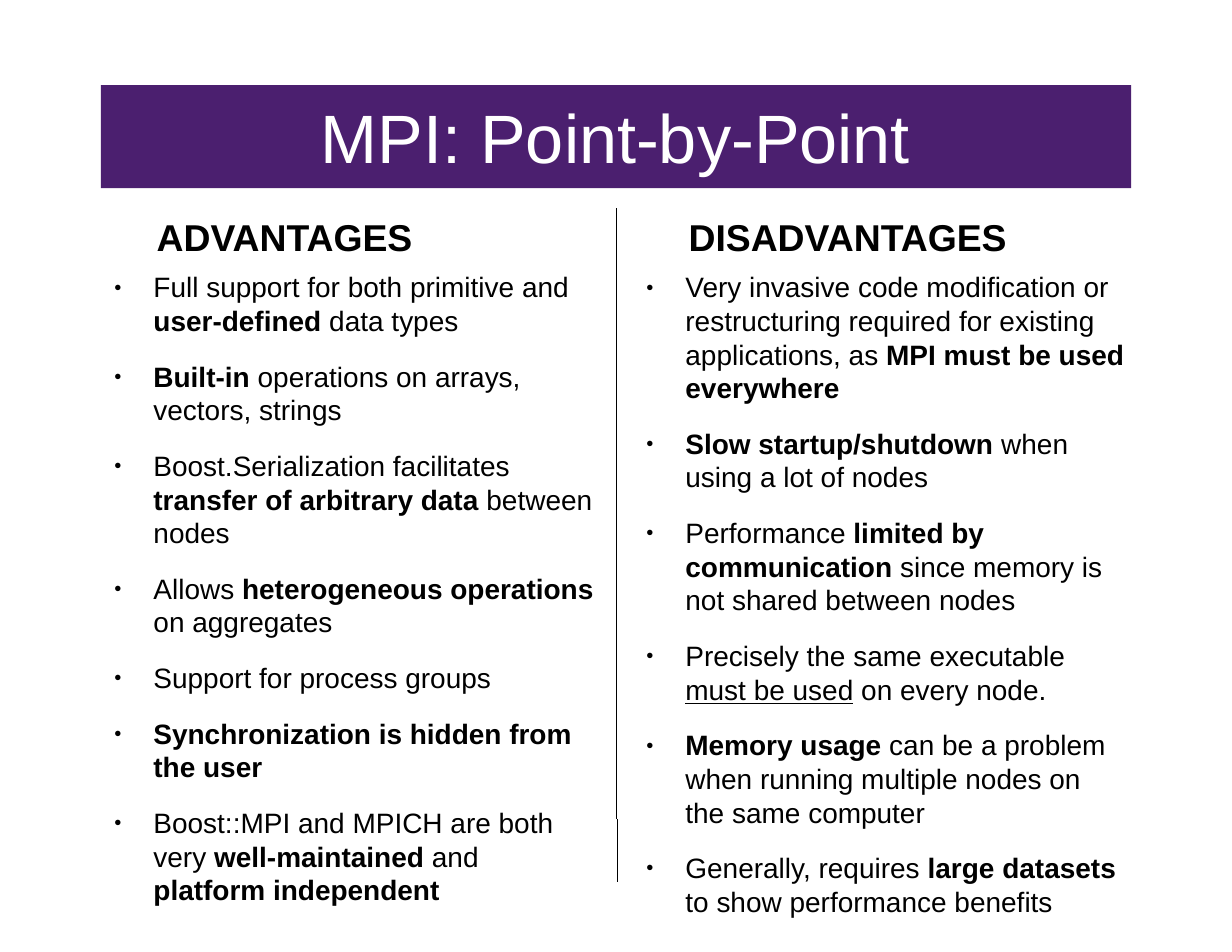
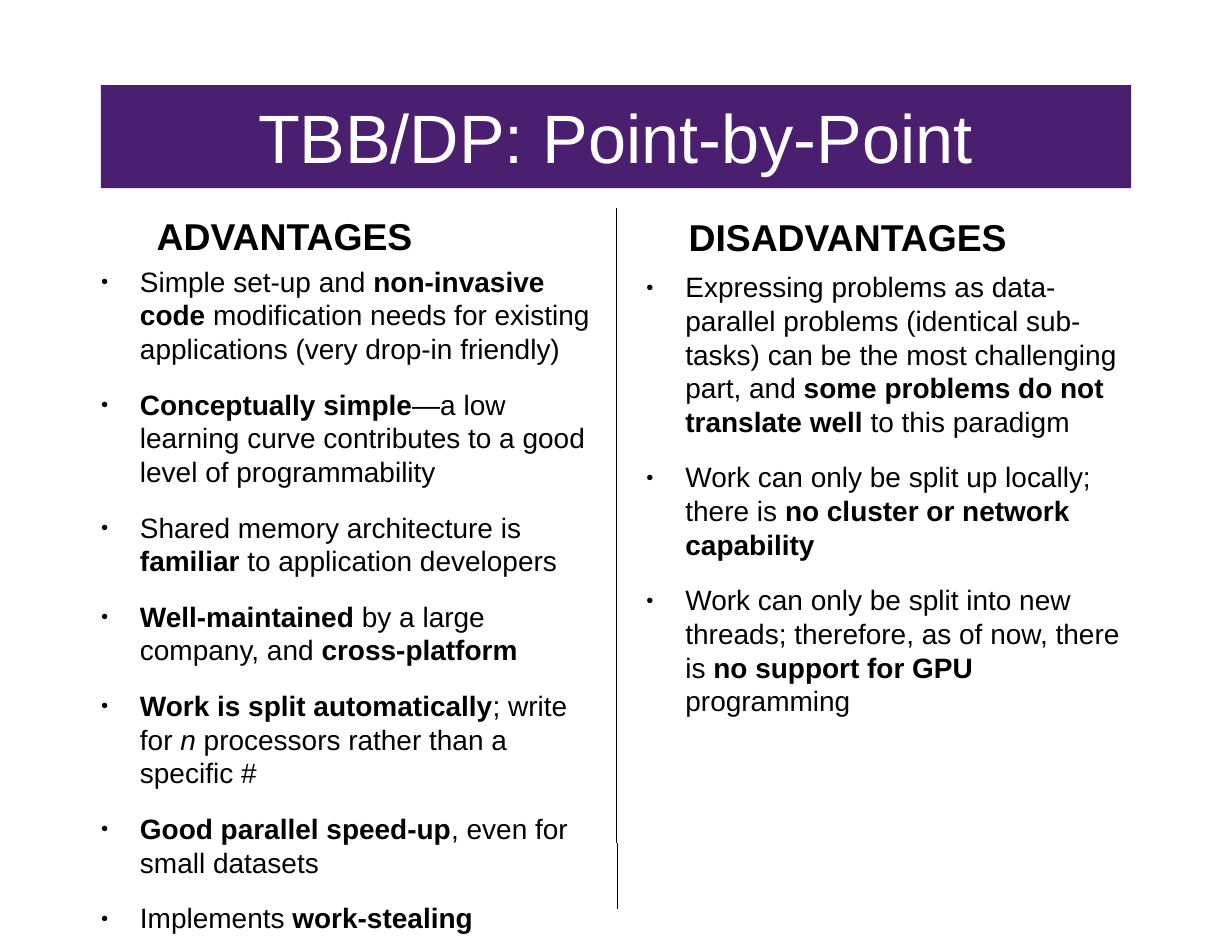
from dataclasses import dataclass

from lxml import etree
from pptx import Presentation
from pptx.dml.color import RGBColor as Rgb
from pptx.enum.shapes import MSO_CONNECTOR as Line
from pptx.enum.text import MSO_ANCHOR as Anchor, MSO_AUTO_SIZE as Fit, PP_ALIGN as Align
from pptx.oxml.ns import qn
from pptx.slide import Slide
from pptx.text.text import TextFrame
from pptx.util import Inches, Pt

COLORS = {"band": "4B1F6F", "title": "FFFFFF", "ink": "000000"}
FONT = "Arial"
TOP = 1.86


@dataclass(frozen=True)
class Run:
    text: str
    bold: bool = False
    italic: bool = False
    under: bool = False


def bold(text: str) -> Run:
    return Run(text, bold=True)


Point = list[Run]


@dataclass(frozen=True)
class Column:
    head: str
    points: list[Point]
    left: float
    top: float = 2.41
    width: float = 4.41
    height: float = 5.38
    head_left: float = 1.3
    head_top: float = TOP


@dataclass(frozen=True)
class Page:
    title: str
    columns: list[Column]
    rule_end: float


PAGES = [
    Page("MPI: Point-by-Point", [
        Column("ADVANTAGES", [
            [Run("Full support for both primitive and "), bold("user-defined"), Run(" data types")],
            [bold("Built-in"), Run(" operations on arrays, vectors, strings")],
            [Run("Boost.Serialization facilitates "), bold("transfer of arbitrary data"),
             Run(" between nodes")],
            [Run("Allows "), bold("heterogeneous operations"), Run(" on aggregates")],
            [Run("Support for process groups")],
            [bold("Synchronization is hidden from the user")],
            [Run("Boost::MPI and MPICH are both very "), bold("well-maintained"), Run(" and "),
             bold("platform independent")],
        ], left=0.9),
        Column("DISADVANTAGES", [
            [Run("Very invasive code modification or restructuring required for existing "
                 "applications, as "), bold("MPI must be used everywhere")],
            [bold("Slow startup/shutdown"), Run(" when using a lot of nodes")],
            [Run("Performance "), bold("limited by communication"),
             Run(" since memory is not shared between nodes")],
            [Run("Precisely the same executable "), Run("must be used", under=True),
             Run(" on every node.")],
            [bold("Memory usage"),
             Run(" can be a problem when running multiple nodes on the same computer")],
            [Run("Generally, requires "), bold("large datasets"),
             Run(" to show performance benefits")],
        ], left=5.65, width=4.4, height=6.02, head_left=6.05),
    ], rule_end=7.87),
    Page("TBB/DP: Point-by-Point", [
        Column("ADVANTAGES", [
            [Run("Simple set-up and "), bold("non-invasive code"),
             Run(" modification needs for existing applications (very drop-in friendly)")],
            [bold("Conceptually simple"),
             Run("—a low learning curve contributes to a good level of programmability")],
            [Run("Shared memory architecture is"), bold(" familiar"),
             Run(" to application developers")],
            [bold("Well-maintained"), Run(" by a large company, and "), bold("cross-platform")],
            [bold("Work is split automatically"), Run("; write for "), Run("n", italic=True),
             Run(" processors rather than a specific #")],
            [bold("Good parallel speed-up"), Run(", even for small datasets")],
            [Run("Implements "), bold("work-stealing")],
        ], left=0.78, top=2.36, width=4.53, height=6.22, head_top=1.85),
        Column("DISADVANTAGES", [
            [Run("Expressing problems as data-parallel problems (identical sub-tasks) can be "
                 "the most challenging part, and "), bold("some problems do not translate well"),
             Run(" to this paradigm")],
            [Run("Work can only be split up locally; there is "),
             bold("no cluster or network capability")],
            [Run("Work can only be split into new threads; therefore, as of now, there is "),
             bold("no support for GPU"), Run(" programming")],
        ], left=5.65, width=4.4, height=5.15, head_left=6.05),
    ], rule_end=8.11),
]


def color(name: str) -> Rgb:
    return Rgb.from_string(COLORS[name])


def write(para, runs: Point, size: float, ink: str = "ink") -> None:
    for item in runs:
        run = para.add_run()
        run.text = item.text
        font = run.font
        font.name, font.size = FONT, Pt(size)
        font.bold, font.italic, font.underline = item.bold, item.italic, item.under
        font.color.rgb = color(ink)


def clear(frame: TextFrame) -> None:
    """Drop the margins and let the text wrap in a fixed box."""
    frame.margin_left = frame.margin_right = frame.margin_top = frame.margin_bottom = 0
    frame.word_wrap = True
    frame.auto_size = Fit.NONE


def bullet(para) -> None:
    props = para._p.get_or_add_pPr()
    props.set("marL", str(Inches(0.47)))
    props.set("indent", str(Inches(-0.35)))
    tint = etree.SubElement(props, qn("a:buClr"))
    etree.SubElement(tint, qn("a:srgbClr"), val=COLORS["ink"])
    etree.SubElement(props, qn("a:buSzPct"), val="45000")
    etree.SubElement(props, qn("a:buFont"), typeface=FONT)
    etree.SubElement(props, qn("a:buChar"), char="●")


def add_title(slide: Slide, text: str) -> None:
    band = slide.shapes.title
    band.left, band.top = Inches(0.9), Inches(0.76)
    band.width, band.height = Inches(9.2), Inches(0.92)
    band.fill.solid()
    band.fill.fore_color.rgb = color("band")
    frame = band.text_frame
    clear(frame)
    frame.vertical_anchor = Anchor.MIDDLE
    para = frame.paragraphs[0]
    para.alignment = Align.CENTER
    write(para, [Run(text)], 44, "title")


def add_rule(slide: Slide, end: float) -> None:
    rule = slide.shapes.add_connector(
        Line.STRAIGHT, Inches(5.5), Inches(TOP), Inches(5.51), Inches(end))
    rule.line.color.rgb = color("ink")
    rule.line.width = Pt(0.01)
    etree.SubElement(rule._element.spPr, qn("a:effectLst"))


def add_column(slide: Slide, col: Column) -> None:
    head = slide.shapes.add_textbox(
        Inches(col.head_left), Inches(col.head_top), Inches(3.83), Inches(0.47))
    head.text_frame.word_wrap = True
    write(head.text_frame.paragraphs[0], [bold(col.head)], 24)

    body = slide.shapes.add_textbox(
        Inches(col.left), Inches(col.top), Inches(col.width), Inches(col.height))
    frame = body.text_frame
    clear(frame)
    for i, point in enumerate(col.points):
        para = frame.add_paragraph() if i else frame.paragraphs[0]
        bullet(para)
        para.space_after = Pt(14.2)
        write(para, point, 18)


def main() -> None:
    deck = Presentation()
    deck.slide_width, deck.slide_height = Inches(11), Inches(8.5)
    layout = next(x for x in deck.slide_layouts if x.name == "Title Only")
    for page in PAGES:
        slide = deck.slides.add_slide(layout)
        add_title(slide, page.title)
        add_rule(slide, page.rule_end)
        for col in page.columns:
            add_column(slide, col)
    deck.save("out.pptx")


if __name__ == "__main__":
    main()
